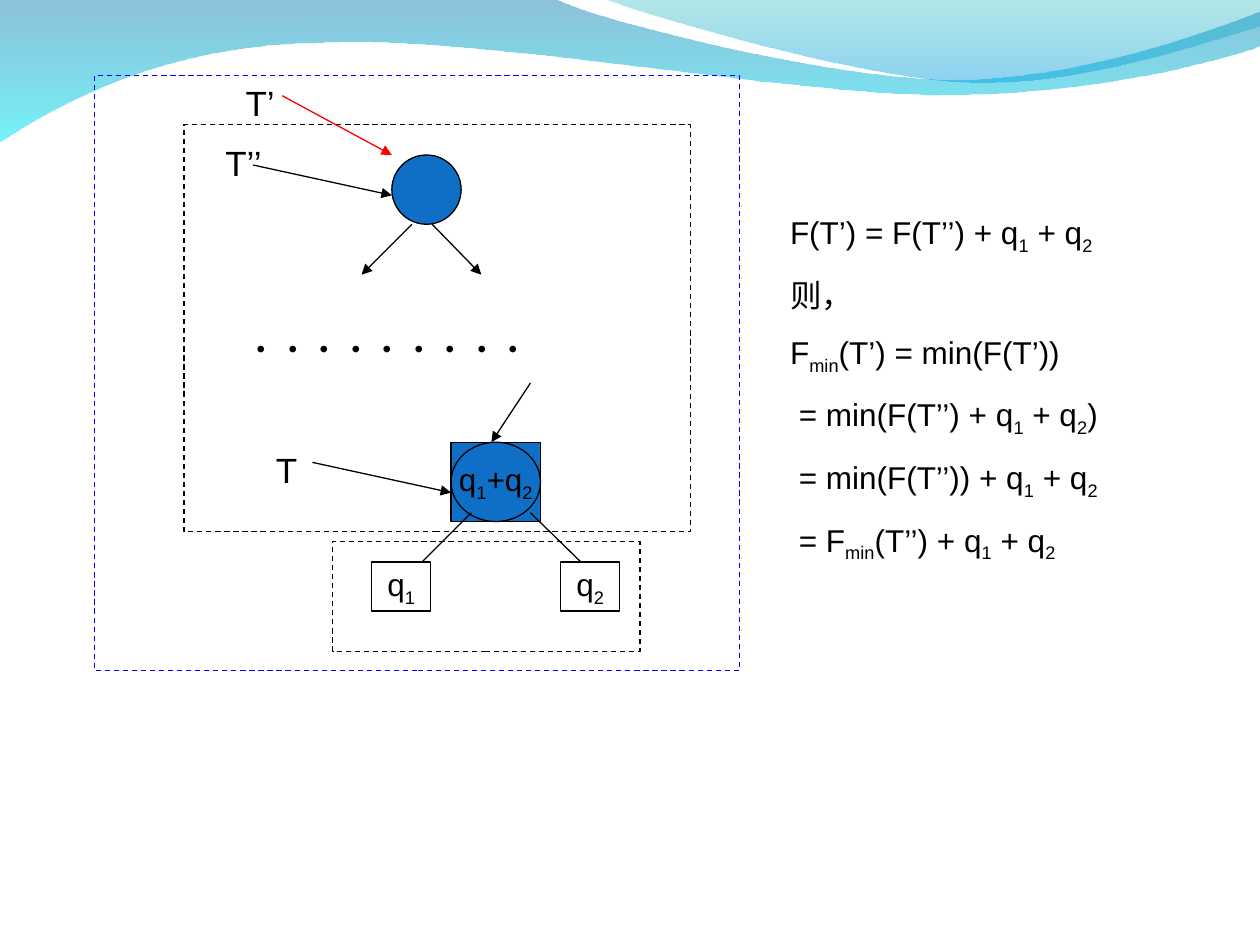
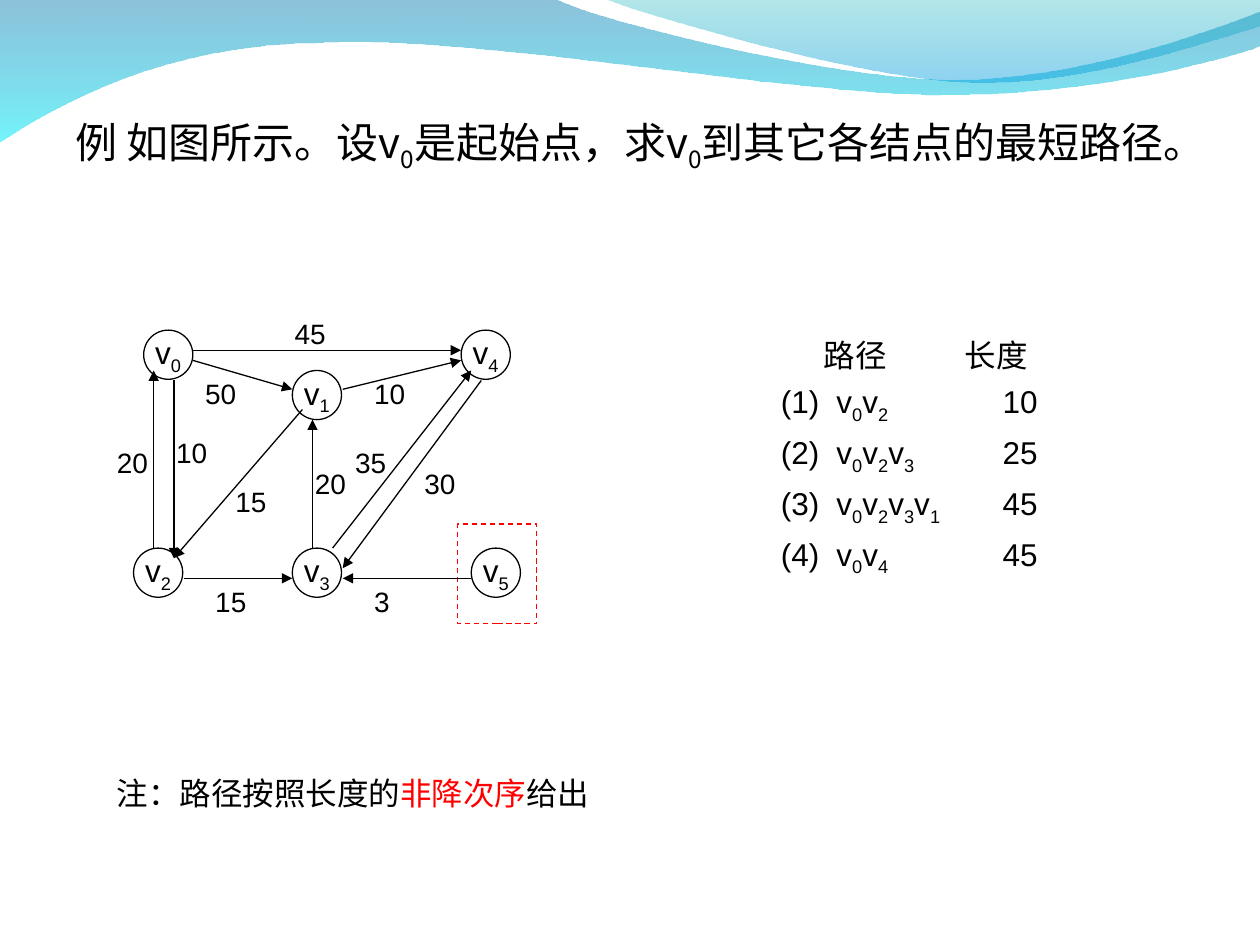
from dataclasses import dataclass
from typing import Any

from lxml import etree
from pptx import Presentation
from pptx import util as u
from pptx.dml import color
from pptx.enum import dml, shapes, text
from pptx.oxml import ns

COLOURS = {
    "ink": "000000",
    "node": "0F6FC6",
    "outer": "0000FF",
    "accent": "FF0000",
    "wave_top": "0079AF",
    "wave_bottom": "00EBF8",
    "crest_top": "00ADB6",
    "crest_bottom": "009BE5",
}
LATIN, CHINESE = "Arial", "Noto Sans CJK SC"
LINE_WIDTH = u.Pt(0.75)
RECT = shapes.MSO_SHAPE.RECTANGLE
OVAL = shapes.MSO_SHAPE.OVAL
NODE_SIZE = 0.39
SUBSCRIPT = {"baseline": "-25000"}
PLAIN_LIST = {"marL": "0", "indent": "0"}
LEFT_TOP = {
    "word_wrap": True,
    "auto_size": text.MSO_AUTO_SIZE.NONE,
    "vertical_anchor": text.MSO_ANCHOR.TOP,
}
CENTRED = {"word_wrap": False, "vertical_anchor": text.MSO_ANCHOR.MIDDLE}

Point = tuple[float, float]


@dataclass
class Band:
    start: Point
    steps: list[tuple[Point, ...]]
    stops: list[tuple[str, int]]


@dataclass
class Box:
    left: float
    top: float
    width: float
    height: float
    kind: Any = RECT
    words: str = ""
    fill: str = ""
    line: str = "ink"
    dashed: bool = False


@dataclass
class Link:
    start: Point
    end: Point
    arrow: bool = True
    line: str = "ink"


@dataclass
class Label:
    left: float
    top: float
    words: str
    width: float = 0.79
    height: float = 0.37
    size: float = 16
    font: str = LATIN


BANDS = [
    Band((0, -0.01), [
        ((4.4, -0.01),),
        ((4.76, 0.17), (6.64, 0.63), (7.58, 0.63)),
        ((8.53, 0.63), (9.58, 0.26), (10, 0.09)),
        ((10.01, 0.36),),
        ((9.83, 0.44), (8.7, 0.76), (7.46, 0.75)),
        ((6.22, 0.75), (3.82, 0.28), (2.57, 0.34)),
        ((1.29, 0.35), (0.46, 0.83), (-0.01, 1.13)),
    ], [("wave_top", 45), ("wave_bottom", 55)]),
    Band((4.79, -0.01), [
        ((5.09, 0.11), (6.82, 0.62), (7.69, 0.65)),
        ((8.56, 0.69), (9.61, 0.32), (10, 0.21)),
        ((10, 0),),
    ], [("crest_top", 30), ("crest_bottom", 45)]),
]

TREE_BOXES = [
    Box(3.58, 3.51, 0.71, 0.63, fill="node"),
    Box(2.95, 4.46, 0.47, 0.39, words="q{1}"),
    Box(4.45, 4.46, 0.47, 0.39, words="q{2}"),
    Box(3.58, 3.51, 0.71, 0.63, OVAL, "q{1}+q{2}"),
    Box(3.11, 1.23, 0.55, 0.55, OVAL, fill="node"),
    Box(2.64, 4.3, 2.44, 0.87, dashed=True),
    Box(1.46, 0.99, 4.02, 3.23, dashed=True),
    Box(0.75, 0.6, 5.12, 4.72, line="outer", dashed=True),
]
TREE_LINKS = [
    Link((3.74, 4.07), (3.35, 4.46), arrow=False),
    Link((4.21, 4.07), (4.61, 4.46), arrow=False),
    Link((2.48, 3.67), (3.58, 3.91)),
    Link((3.27, 1.78), (2.87, 2.18)),
    Link((3.43, 1.78), (3.82, 2.18)),
    Link((4.21, 3.04), (3.9, 3.51)),
    Link((2.01, 1.31), (3.11, 1.55)),
    Link((2.24, 0.76), (3.11, 1.23), line="accent"),
]
TREE_LABELS = [
    Label(2.09, 3.51, "T", 0.31, 0.44, 20),
    Label(1.69, 1.07, "T’’", 0.55, 0.44, 20),
    Label(1.85, 0.6, "T’", 0.55, 0.44, 20),
    Label(1.85, 2.57, "·········", 3.31, 0.4, 18, CHINESE),
]
FORMULAS = [
    "F(T’) = F(T’’) + q{1} + q{2}",
    "则，",
    "F{min}(T’) = min(F(T’))",
    " = min(F(T’’) + q{1} + q{2})",
    " = min(F(T’’)) + q{1} + q{2}",
    " = F{min}(T’’) + q{1} + q{2}",
]

VERTICES = [(1.14, 2.62), (2.32, 2.94), (1.06, 4.35),
            (2.32, 4.35), (3.66, 2.62), (3.74, 4.35)]
GRAPH_BOXES = [
    Box(left, top, NODE_SIZE, NODE_SIZE, OVAL, f"v{{{number}}}")
    for number, (left, top) in enumerate(VERTICES)
] + [Box(3.63, 4.16, 0.63, 0.79, line="accent", dashed=True)]
GRAPH_LINKS = [
    Link((1.53, 2.78), (3.66, 2.78)),
    Link((1.53, 2.86), (2.32, 3.09)),
    Link((2.72, 3.09), (3.66, 2.86)),
    Link((1.22, 4.35), (1.22, 2.94)),
    Link((1.38, 3.02), (1.38, 4.43)),
    Link((2.4, 3.25), (1.38, 4.43)),
    Link((1.46, 4.59), (2.32, 4.59)),
    Link((2.48, 4.35), (2.48, 3.33)),
    Link((2.64, 4.35), (3.74, 2.94)),
    Link((3.82, 3.02), (2.72, 4.51)),
    Link((3.74, 4.59), (2.72, 4.59)),
]
WEIGHTS = [
    Label(2.24, 2.46, "45"), Label(1.53, 2.94, "50"), Label(2.87, 2.94, "10"),
    Label(1.77, 3.8, "15"), Label(0.83, 3.49, "20"), Label(1.3, 3.41, "10"),
    Label(1.61, 4.59, "15"), Label(2.87, 4.59, "3"), Label(2.72, 3.49, "35"),
    Label(2.4, 3.65, "20"), Label(3.27, 3.65, "30"),
]
PATHS = [("v{0}v{2}", 10), ("v{0}v{2}v{3}", 25),
         ("v{0}v{2}v{3}v{1}", 45), ("v{0}v{4}", 45)]
HEADER_TABS, ROW_TABS = (0.34, 1.46), (0.44, 1.76)


def rgb(name: str) -> color.RGBColor:
    return color.RGBColor.from_string(COLOURS[name])


def set_all(target: Any, values: dict[str, Any]) -> None:
    for name, value in values.items():
        setattr(target, name, value)


def place(shape: Any, *bounds: float) -> None:
    names = ("left", "top", "width", "height")
    set_all(shape, dict(zip(names, map(u.Inches, bounds))))


def add_child(parent: Any, tag: str, **values: str) -> Any:
    return etree.SubElement(parent, ns.qn(tag), values)


def write(para: Any, words: str, size: float = 18, font: str = LATIN,
          marked_colour: str = "") -> None:
    for index, part in enumerate(words.replace("}", "{").split("{")):
        if not part:
            continue
        marked = index % 2 == 1
        span = para.add_run()
        span.text = part
        set_all(span.font, {"size": u.Pt(size), "name": font})
        span.font.color.rgb = rgb(marked_colour if marked and marked_colour else "ink")
        properties = span._r.get_or_add_rPr()
        add_child(properties, "a:ea", typeface=CHINESE)
        if marked and not marked_colour:
            properties.attrib.update(SUBSCRIPT)


def write_lines(box: Any, lines: list[str], space: float,
                tabs: list[tuple[float, ...]]) -> None:
    frame = box.text_frame
    set_all(frame, LEFT_TOP)
    for index, (line, stops) in enumerate(zip(lines, tabs)):
        para = frame.add_paragraph() if index else frame.paragraphs[0]
        set_all(para, {"space_before": u.Pt(space), "line_spacing": 1.0})
        properties = para._p.get_or_add_pPr()
        if box.is_placeholder:
            properties.attrib.update(PLAIN_LIST)
            add_child(properties, "a:buNone")
        if stops:
            tab_list = add_child(properties, "a:tabLst")
            for stop in stops:
                add_child(tab_list, "a:tab", pos=str(u.Inches(stop)), algn="l")
        write(para, line)


def bend(shape: Any, steps: list[tuple[Point, ...]]) -> None:
    segments = shape.element.spPr.iter(ns.qn("a:lnTo"))
    remaining = iter(list(segments))
    for step in steps:
        group = [next(remaining) for _ in step]
        if len(group) == 3:
            curve = etree.Element(ns.qn("a:cubicBezTo"))
            group[0].addprevious(curve)
            for segment in group:
                curve.append(segment[0])
                segment.getparent().remove(segment)


def draw_band(page: Any, band: Band) -> Any:
    points = [band.start, *(point for step in band.steps for point in step)]
    corners = [(u.Inches(x), u.Inches(y)) for x, y in points]
    builder = page.shapes.build_freeform(*corners[0])
    builder.add_line_segments(corners[1:], close=True)
    shape = builder.convert_to_shape()
    bend(shape, band.steps)
    shape.shadow.inherit = False
    shape.line.fill.background()
    shape.fill.gradient()
    shape.fill.gradient_angle = 270
    for stop, (name, opacity) in zip(shape.fill.gradient_stops, band.stops):
        stop.color.rgb = rgb(name)
    tints = shape.element.spPr.iter(ns.qn("a:srgbClr"))
    for tint, (name, opacity) in zip(tints, band.stops):
        add_child(tint, "a:alpha", val=str(opacity * 1000))
    return shape


def draw_box(page: Any, box: Box) -> None:
    shape = page.shapes.add_shape(box.kind, 0, 0, 0, 0)
    place(shape, box.left, box.top, box.width, box.height)
    shape.shadow.inherit = False
    if box.fill:
        shape.fill.solid()
        shape.fill.fore_color.rgb = rgb(box.fill)
    else:
        shape.fill.background()
    shape.line.color.rgb = rgb(box.line)
    shape.line.width = LINE_WIDTH
    if box.dashed:
        shape.line.dash_style = dml.MSO_LINE.DASH
    if box.words:
        set_all(shape.text_frame, CENTRED)
        para = shape.text_frame.paragraphs[0]
        para.alignment = text.PP_ALIGN.CENTER
        write(para, box.words)


def draw_link(page: Any, link: Link) -> None:
    ends = [u.Inches(value) for value in (*link.start, *link.end)]
    connector = page.shapes.add_connector(shapes.MSO_CONNECTOR.STRAIGHT, *ends)
    connector.line.color.rgb = rgb(link.line)
    connector.line.width = LINE_WIDTH
    outline = connector.element.spPr
    if link.arrow:
        add_child(outline.find(ns.qn("a:ln")), "a:tailEnd", type="triangle")
    add_child(outline, "a:effectLst")


def draw_label(page: Any, label: Label, marked_colour: str = "") -> None:
    box = page.shapes.add_textbox(0, 0, 0, 0)
    place(box, label.left, label.top, label.width, label.height)
    box.text_frame.word_wrap = True
    write(box.text_frame.paragraphs[0], label.words, label.size, label.font, marked_colour)


def draw_diagram(page: Any, boxes: list[Box], links: list[Link],
                 labels: list[Label]) -> None:
    for box in boxes:
        draw_box(page, box)
    for link in links:
        draw_link(page, link)
    for label in labels:
        draw_label(page, label)


def draw_tree(page: Any) -> None:
    title, body = page.placeholders
    title.element.getparent().remove(title.element)
    place(body, 6.17, 1.64, 2.88, 3.39)
    write_lines(body, FORMULAS, 11.2, [()] * len(FORMULAS))
    draw_diagram(page, TREE_BOXES, TREE_LINKS, TREE_LABELS)


def draw_graph(page: Any) -> None:
    title = page.shapes.title
    place(title, 0.5, 0.69, 9, 1.26)
    set_all(title.text_frame, LEFT_TOP)
    para = title.text_frame.paragraphs[0]
    set_all(para, {"alignment": text.PP_ALIGN.LEFT, "line_spacing": 1.4,
                   "space_before": u.Pt(6.5)})
    write(para, "例 如图所示。设v{0}是起始点，求v{0}到其它各结点的最短路径。", 24, CHINESE)
    routes = page.shapes.add_textbox(0, 0, 0, 0)
    place(routes, 6.1, 2.62, 3.54, 2.52)
    rows = [f"({number})\t{route}\t{length}"
            for number, (route, length) in enumerate(PATHS, 1)]
    write_lines(routes, ["\t路径\t长度", *rows], 4.5, [HEADER_TABS] + [ROW_TABS] * len(rows))
    draw_label(page, Label(0.83, 6.09, "注：路径按照长度的{非降次序}给出", 8.27, 0.79, 18), "accent")
    draw_diagram(page, GRAPH_BOXES, GRAPH_LINKS, WEIGHTS)


def main() -> None:
    deck = Presentation()
    set_all(deck, {"slide_width": u.Inches(10), "slide_height": u.Inches(7.5)})
    tree_page, graph_page = (deck.slides.add_slide(deck.slide_layouts[index])
                             for index in (1, 5))
    for position, band in enumerate(BANDS, 2):
        deck.slide_master.shapes.element.insert(position, draw_band(tree_page, band).element)
    draw_tree(tree_page)
    draw_graph(graph_page)
    deck.save("out.pptx")


if __name__ == "__main__":
    main()
